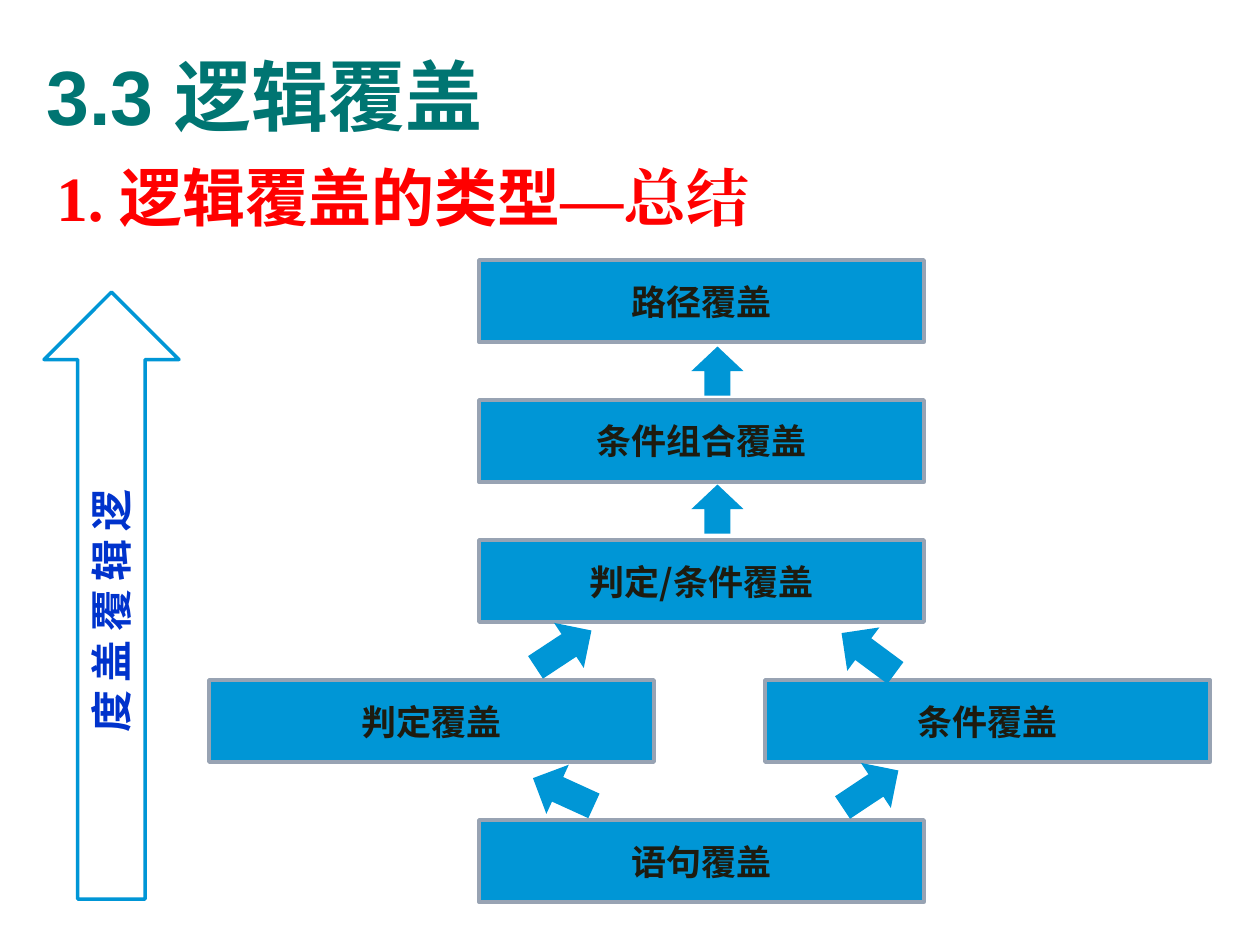
from lxml import etree
from pptx import Presentation
from pptx.dml.color import RGBColor
from pptx.enum.shapes import MSO_SHAPE
from pptx.enum.text import MSO_ANCHOR, PP_ALIGN
from pptx.oxml.ns import qn
from pptx.util import Pt

PX = 914400 / 126
RECT, ARROW = MSO_SHAPE.RECTANGLE, MSO_SHAPE.RIGHT_ARROW
MIDDLE, CENTER, JUSTIFY = MSO_ANCHOR.MIDDLE, PP_ALIGN.CENTER, PP_ALIGN.JUSTIFY
SANS, SERIF, CJK = "Arial", "Times New Roman", "Noto Sans CJK SC"
COLORS = {
    "title": "007572", "heading": "FF0000", "fill": "0096D6", "border": "98A3B3",
    "label": "1D1B10", "degree": "0033CC", "white": "FFFFFF",
}
BLOCK_WIDTH, BLOCK_HEIGHT, ROW_PITCH = 445, 82, 140
LEFT, MIDDLE_X, RIGHT = 0, 270, 556
# Label, x and row of each block, relative to the diagram
BLOCKS = [
    ("语句覆盖", MIDDLE_X, 4), ("判定覆盖", LEFT, 3), ("条件覆盖", RIGHT, 3),
    ("判定/条件覆盖", MIDDLE_X, 2), ("条件组合覆盖", MIDDLE_X, 1), ("路径覆盖", MIDDLE_X, 0),
]
# Box and rotation of each arrow, relative to the diagram
ARROWS = [
    ((628, 502, 67, 54), 326.4), ((321, 505, 67, 54), 204.5),
    ((321, 362, 67, 54), 326.6), ((626, 366, 67, 54), 216.5),
    ((484, 223, 49, 52), 270), ((484, 85, 49, 52), 270),
]


def px(value):
    return round(value * PX)


def color(name):
    return RGBColor.from_string(COLORS[name])


def add_span(para, text, size, font, color_name):
    """Add a bold run with one font for Latin and East Asian letters."""
    span = para.add_run()
    span.text = text
    span.font.size = Pt(size)
    span.font.bold = True
    span.font.name = font
    span.font.color.rgb = color(color_name)
    latin = span.font._element.find(qn("a:latin"))
    east_asian = etree.Element(qn("a:ea"), typeface=font)
    latin.addnext(east_asian)


def add_text_box(page, box):
    frame = page.shapes.add_textbox(*map(px, box)).text_frame
    frame.word_wrap = True
    return frame


def add_filled(page, kind, box, fill, line=None, rotation=0):
    shape = page.shapes.add_shape(kind, *map(px, box))
    shape.shadow.inherit = False
    shape.rotation = rotation
    shape.fill.solid()
    shape.fill.fore_color.rgb = color(fill)
    if line:
        shape.line.color.rgb = color(line)
        shape.line.width = Pt(2)
    else:
        shape.line.fill.background()
    return shape


def add_centered_text(shape, text, size, color_name, wrap):
    frame = shape.text_frame
    frame.word_wrap = wrap
    frame.vertical_anchor = MIDDLE
    para = frame.paragraphs[0]
    para.alignment = CENTER
    add_span(para, text, size, CJK, color_name)


def add_title(page, box):
    frame = add_text_box(page, box)
    frame.vertical_anchor = MIDDLE
    add_span(frame.paragraphs[0], "3.3 逻辑覆盖", 44, SANS, "title")


def add_heading(page, box):
    para = add_text_box(page, box).paragraphs[0]
    para.alignment = JUSTIFY
    para.line_spacing = 1.1
    para.space_before = para.space_after = Pt(2)
    indent = px(84)
    properties = para._p.get_or_add_pPr()
    properties.set("marL", str(indent))
    properties.set("indent", str(-indent))
    for text, font in (("1. ", SERIF), ("逻辑覆盖的类型", SANS), ("—总结", SERIF)):
        add_span(para, text, 36, font, "heading")


def add_diagram(page, left, top):
    for label, x, row in BLOCKS:
        box = (left + x, top + row * ROW_PITCH, BLOCK_WIDTH, BLOCK_HEIGHT)
        block = add_filled(page, RECT, box, "fill", "border")
        add_centered_text(block, label, 20, "label", False)
    for (x, y, width, height), rotation in ARROWS:
        add_filled(page, ARROW, (left + x, top + y, width, height), "fill", rotation=rotation)


def add_degree_arrow(page, left, top, width, height):
    """Turn a right arrow upwards so that it fills the given upright box."""
    shift = (height - width) / 2
    box = (left - shift, top + shift, height, width)
    arrow = add_filled(page, ARROW, box, "white", "fill", 270)
    add_centered_text(arrow, "逻辑覆盖度", 24, "degree", True)
    arrow.text_frame._txBody.bodyPr.set("vert", "eaVert")


def main():
    deck = Presentation()
    deck.slide_width, deck.slide_height = px(1260), px(945)
    page = deck.slides.add_slide(deck.slide_layouts[6])
    add_title(page, (34, 16, 1177, 158))
    add_heading(page, (44, 145, 1160, 110))
    add_diagram(page, 209, 260)
    add_degree_arrow(page, 44, 292, 135, 607)
    deck.save("out.pptx")


if __name__ == "__main__":
    main()
